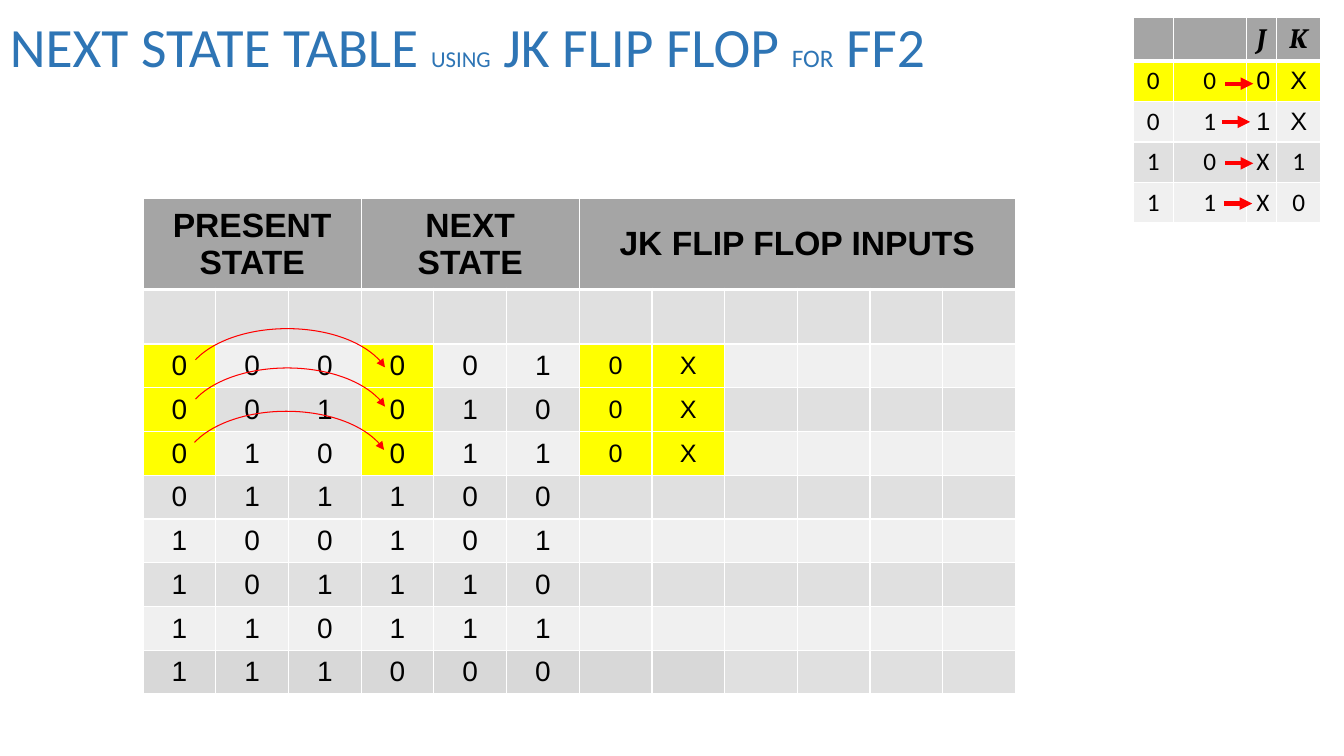
from dataclasses import dataclass

from lxml.etree import SubElement
from pptx import Presentation
from pptx.dml.color import RGBColor
from pptx.enum.shapes import MSO_CONNECTOR, MSO_SHAPE
from pptx.enum.text import MSO_ANCHOR, PP_ALIGN
from pptx.oxml.ns import qn
from pptx.util import Inches, Pt

WIDTH, HEIGHT = 13.33, 7.5
COLORS = {
    "title": "2E75B5", "text": "000000", "header": "A5A5A5", "odd": "E0E0E0",
    "even": "F0F0F0", "last": "D8D8D8", "mark": "FFFF00", "border": "FFFFFF",
    "arrow": "FF0000",
}


@dataclass(frozen=True)
class Cell:
    text: str = ""
    fill: str = "header"
    size: float = 18
    font: str = "Arial"
    bold: bool = False
    italic: bool = False
    span: int = 1


@dataclass(frozen=True)
class Grid:
    """Place and track sizes in percent of the slide."""
    left: float
    top: float
    cols: list[float]
    rows: list[float]
    cells: list[list[Cell]]


@dataclass(frozen=True)
class Arrow:
    """Starting corner in percent of the slide."""
    left: float
    top: float


def across(percent: float) -> int:
    return Inches(WIDTH * percent / 100)


def down(percent: float) -> int:
    return Inches(HEIGHT * percent / 100)


def rgb(name: str) -> RGBColor:
    return RGBColor.from_string(COLORS[name])


def add_text(p, text: str, *, size: float, font: str = "Arial",
             color: str = "text", bold: bool = False, italic: bool = False) -> None:
    r = p.add_run()
    r.text = text
    r.font.size, r.font.name = Pt(size), font
    r.font.bold, r.font.italic = bold, italic
    r.font.color.rgb = rgb(color)


def add_title(slide, parts: list[tuple[str, float]]) -> None:
    sp = slide.shapes.add_textbox(0, 0, across(75), down(13.2))
    tf = sp.text_frame
    tf.word_wrap = True
    tf.vertical_anchor = MSO_ANCHOR.MIDDLE
    p = tf.paragraphs[0]
    p.line_spacing = 0.9
    for text, size in parts:
        add_text(p, text, size=size, font="Calibri", color="title")


def add_borders(cell, top: float, bottom: float) -> None:
    tc_pr = cell._tc.get_or_add_tcPr()
    sides = {"lnL": 1, "lnR": 1, "lnT": top, "lnB": bottom}
    for i, (side, points) in enumerate(sides.items()):
        ln = SubElement(tc_pr, qn(f"a:{side}"), w=str(Pt(points)))
        fill = SubElement(ln, qn("a:solidFill"))
        SubElement(fill, qn("a:srgbClr"), val=COLORS["border"])
        tc_pr.insert(i, ln)


def add_grid(slide, grid: Grid) -> None:
    frame = slide.shapes.add_table(
        len(grid.rows), len(grid.cols), across(grid.left), down(grid.top),
        across(sum(grid.cols)), down(sum(grid.rows)))
    table = frame.table
    table.first_row = table.horz_banding = False
    for col, width in zip(table.columns, grid.cols):
        col.width = across(width)
    for row, height in zip(table.rows, grid.rows):
        row.height = down(height)
    for i, row in enumerate(grid.cells):
        j = 0
        for item in row:
            cell = table.cell(i, j)
            if item.span > 1:
                cell.merge(table.cell(i, j + item.span - 1))
            for k in range(j, j + item.span):
                part = table.cell(i, k)
                part.fill.solid()
                part.fill.fore_color.rgb = rgb(item.fill)
                add_borders(part, 3 if i == 1 else 1, 3 if i == 0 else 1)
            cell.vertical_anchor = MSO_ANCHOR.MIDDLE
            p = cell.text_frame.paragraphs[0]
            p.alignment = PP_ALIGN.CENTER
            if item.text:
                add_text(p, item.text, size=item.size, font=item.font,
                         bold=item.bold, italic=item.italic)
            j += item.span


def style_arrow(shape, width: float) -> None:
    shape.line.color.rgb = rgb("arrow")
    shape.line.width = Pt(width)
    SubElement(shape.line._get_or_add_ln(), qn("a:tailEnd"), type="triangle")


def add_straight_arrow(slide, arrow: Arrow) -> None:
    x, y = across(arrow.left), down(arrow.top)
    line = slide.shapes.add_connector(
        MSO_CONNECTOR.STRAIGHT, x, y, x + across(2.1), y)
    style_arrow(line, 3)
    SubElement(line._element.spPr, qn("a:effectLst"))


def add_arc_arrow(slide, arrow: Arrow) -> None:
    sp = slide.shapes.add_shape(
        MSO_SHAPE.ARC, across(arrow.left), down(arrow.top), across(15.45), down(15.47))
    sp.adjustments[0], sp.adjustments[1] = 117.94, 209.15
    sp.shadow.inherit = False
    sp.fill.background()
    style_arrow(sp, 0.75)


def band(i: int) -> str:
    return "odd" if i % 2 else "even"


def state_cell(i: int, j: int, text: str) -> Cell:
    if 2 <= i <= 4 and j in (0, 3, 6, 7):
        fill = "mark"
    elif i == 9 and j < 8:
        fill = "last"
    else:
        fill = band(i)
    return Cell(text, fill, size=20 if j < 6 else 18)


def excitation_cell(i: int, j: int, text: str) -> Cell:
    return Cell(text, "mark" if i == 1 else band(i),
                font="Arial" if i < 3 and j > 1 else "Calibri")


TITLE = [("NEXT STATE TABLE ", 39.6), ("USING", 16.2), (" JK FLIP FLOP ", 39.6),
         ("FOR", 18), (" FF2", 39.6)]
HEADINGS = [("PRESENT STATE", 3), ("NEXT STATE", 3), ("JK FLIP FLOP INPUTS", 6)]
STATES = ["", "0000010X", "0010100X", "0100110X", "011100",
          "100101", "101110", "110111", "111000"]
EXCITATIONS = ["000X", "011X", "10X1", "11X0"]

STATE_TABLE = Grid(
    10.65, 26.3, [5.41] * 12, [12, 7.2] + [5.75] * 8,
    [[Cell(text, size=24, bold=True, span=span) for text, span in HEADINGS]]
    + [[state_cell(i, j, row[j:j + 1]) for j in range(12)]
       for i, row in enumerate(STATES, 1)])
EXCITATION_TABLE = Grid(
    84.32, 2.27, [2.98, 5.43, 2.27, 3.28], [5.73] + [5.36] * 4,
    [[Cell(text, size=20, font="Cambria", bold=True, italic=True)
      for text in ("", "", "J", "K")]]
    + [[excitation_cell(i, j, text) for j, text in enumerate(row)]
       for i, row in enumerate(EXCITATIONS, 1)])
STRAIGHT_ARROWS = [Arrow(91.15, 11.07), Arrow(90.92, 16.13),
                   Arrow(91.15, 21.6), Arrow(91.07, 26.93)]
ARC_ARROWS = [Arrow(13.65, 43.47), Arrow(13.65, 48.67), Arrow(13.58, 54.4)]


def main() -> None:
    prs = Presentation()
    prs.slide_width, prs.slide_height = Inches(WIDTH), Inches(HEIGHT)
    s = prs.slides.add_slide(prs.slide_layouts[6])
    add_title(s, TITLE)
    for grid in (STATE_TABLE, EXCITATION_TABLE):
        add_grid(s, grid)
    for arrow in STRAIGHT_ARROWS:
        add_straight_arrow(s, arrow)
    for arrow in ARC_ARROWS:
        add_arc_arrow(s, arrow)
    prs.save("out.pptx")


if __name__ == "__main__":
    main()
